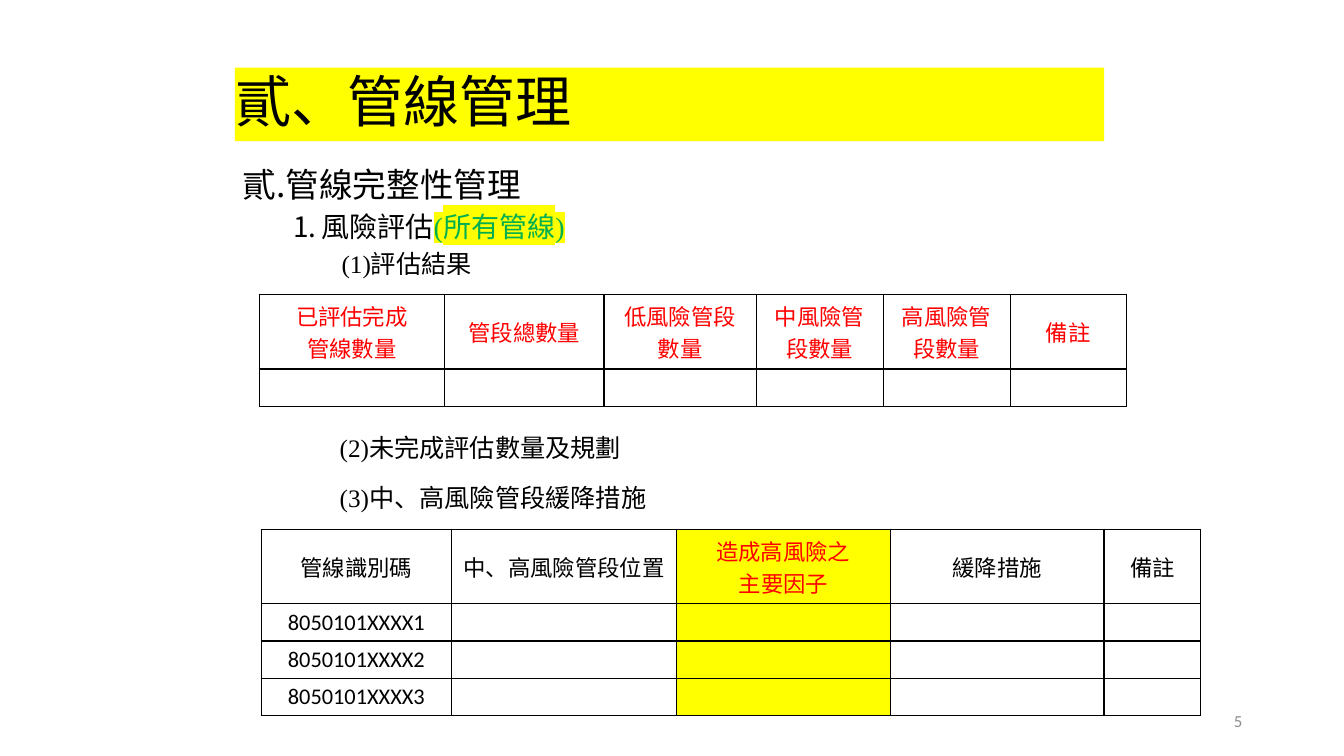
from lxml.etree import SubElement
from pptx import Presentation
from pptx.dml.color import RGBColor
from pptx.enum.shapes import MSO_SHAPE
from pptx.enum.text import MSO_ANCHOR, PP_ALIGN
from pptx.oxml.ns import qn
from pptx.util import Inches, Pt

THEME = {
    "black": RGBColor(0, 0, 0),
    "red": RGBColor(255, 0, 0),
    "green": RGBColor(0, 176, 80),
    "gray": RGBColor(140, 140, 140),
    "yellow": RGBColor(255, 255, 0),
    "serif": "Times New Roman",
    "sans": "Calibri",
    "cjk": "Noto Sans CJK SC",
    "title": Pt(40),
    "heading": Pt(24),
    "subheading": Pt(20),
    "item": Pt(18),
    "cell": Pt(16),
    "number": Pt(12),
}


def write(para, text, size, color="black", font="serif", **layout):
    """Add one run to a paragraph and apply its paragraph layout."""
    for name, value in layout.items():
        setattr(para, name, value)
    span = para.add_run()
    span.text = text
    for name, value in {"size": THEME[size], "name": THEME[font]}.items():
        setattr(span.font, name, value)
    span.font.color.rgb = THEME[color]
    SubElement(span.font._element, qn("a:ea"), typeface=THEME["cjk"])
    return span


def draw_table(page, left, top, widths, heights, rows, red_columns, marked=None):
    """Draw a ruled table; the marked column has a yellow fill."""
    frame = page.shapes.add_table(len(rows), len(widths), Inches(left), Inches(top),
                                  Inches(sum(widths)), Inches(sum(heights)))
    table = frame.table
    table.first_row = table.horz_banding = False
    for column, width in zip(table.columns, widths):
        column.width = Inches(width)
    for row, height in zip(table.rows, heights):
        row.height = Inches(height)
    for r, texts in enumerate(rows):
        for c, text in enumerate(texts):
            cell = table.cell(r, c)
            cell.vertical_anchor = MSO_ANCHOR.MIDDLE
            cell.margin_top = cell.margin_bottom = Inches(0.03)
            for side in ("a:lnL", "a:lnR", "a:lnT", "a:lnB"):
                line = SubElement(cell._tc.get_or_add_tcPr(), qn(side), w=str(Pt(1)))
                fill = SubElement(line, qn("a:solidFill"))
                SubElement(fill, qn("a:srgbClr"), val=str(THEME["black"]))
            if c == marked:
                cell.fill.solid()
                cell.fill.fore_color.rgb = THEME["yellow"]
            else:
                cell.fill.background()
            color = "red" if r == 0 and c in red_columns else "black"
            font = "serif" if r == 0 else "sans"
            for i, line_text in enumerate(text.splitlines()):
                para = cell.text_frame.add_paragraph() if i else cell.text_frame.paragraphs[0]
                write(para, line_text, "cell", color, font, alignment=PP_ALIGN.CENTER)


deck = Presentation()
deck.slide_width, deck.slide_height = Inches(13.33), Inches(7.5)
page = deck.slides.add_slide(deck.slide_layouts[6])

# Title bar
bar = page.shapes.add_shape(MSO_SHAPE.RECTANGLE, Inches(2.33), Inches(0.67),
                            Inches(8.62), Inches(0.73))
bar.shadow.inherit = False
bar.fill.solid()
bar.fill.fore_color.rgb = THEME["yellow"]
bar.line.fill.background()
frame = bar.text_frame
for name, value in {"margin_left": Inches(0.01), "margin_right": 0, "margin_top": 0,
                    "margin_bottom": 0, "vertical_anchor": MSO_ANCHOR.MIDDLE,
                    "word_wrap": True}.items():
    setattr(frame, name, value)
write(frame.paragraphs[0], "貳、管線管理", "title", alignment=PP_ALIGN.LEFT, line_spacing=0.9)

# Numbered outline
outline = page.shapes.add_textbox(Inches(2.31), Inches(1.5), Inches(8.98), Inches(1.41))
frame = outline.text_frame
frame.word_wrap = True
heading, risk, result = frame.paragraphs[0], frame.add_paragraph(), frame.add_paragraph()
write(heading, "管線完整性管理", "heading", line_spacing=1.2)
write(risk, "風險評估", "subheading", level=1, line_spacing=0.9, space_before=Pt(6))
scope = write(risk, "(所有管線)", "subheading", "green")
write(result, "(1)評估結果", "item", level=1, line_spacing=0.9, space_before=Pt(6))

for para, margin, indent, numbering in (
        (heading, 0.25, -0.25, {"type": "ea1ChtPeriod", "startAt": "2"}),
        (risk, 0.78, -0.28, {"type": "arabicPeriod"}),
        (result, 0.98, 0, None)):
    props = para._p.get_or_add_pPr()
    props.set("marL", str(Inches(margin)))
    props.set("indent", str(Inches(indent)))
    if numbering:
        SubElement(props, qn("a:buFont"), typeface=THEME["serif"])
        SubElement(props, qn("a:buAutoNum"), numbering)

scope_props = scope.font._element
highlight = SubElement(scope_props, qn("a:highlight"))
SubElement(highlight, qn("a:srgbClr"), val=str(THEME["yellow"]))
scope_props.find(qn("a:solidFill")).addnext(highlight)

# Assessment results
draw_table(page, 2.57, 2.92, [1.84, 1.58, 1.51, 1.26, 1.26, 1.15], [0.74, 0.37],
           [["已評估完成\n管線數量", "管段總數量", "低風險管段數量",
             "中風險管段數量", "高風險管段數量", "備註"], [""] * 6],
           red_columns=range(6))

# Remaining items
for top, text in ((4.09, "(2)未完成評估數量及規劃"), (4.59, "(3)中、高風險管段緩降措施")):
    box = page.shapes.add_textbox(Inches(3.17), Inches(top), Inches(4.32), Inches(0.64))
    box.text_frame.word_wrap = True
    para = box.text_frame.paragraphs[0]
    write(para, text, "item", line_spacing=1.5)
    para._p.get_or_add_pPr().set("marL", str(Inches(0.1)))

# Mitigation measures
draw_table(page, 2.59, 5.25, [1.89, 2.23, 2.12, 2.12, 0.96], [0.74] + [0.37] * 3,
           [["管線識別碼", "中、高風險管段位置", "造成高風險之\n主要因子", "緩降措施", "備註"]]
           + [[f"8050101XXXX{n}"] + [""] * 4 for n in range(1, 4)],
           red_columns=[2], marked=2)

# Page number
box = page.shapes.add_textbox(Inches(9.42), Inches(6.95), Inches(3), Inches(0.4))
box.text_frame.word_wrap = True
box.text_frame.vertical_anchor = MSO_ANCHOR.MIDDLE
write(box.text_frame.paragraphs[0], "5", "number", "gray", "sans", alignment=PP_ALIGN.RIGHT)

deck.save("out.pptx")
